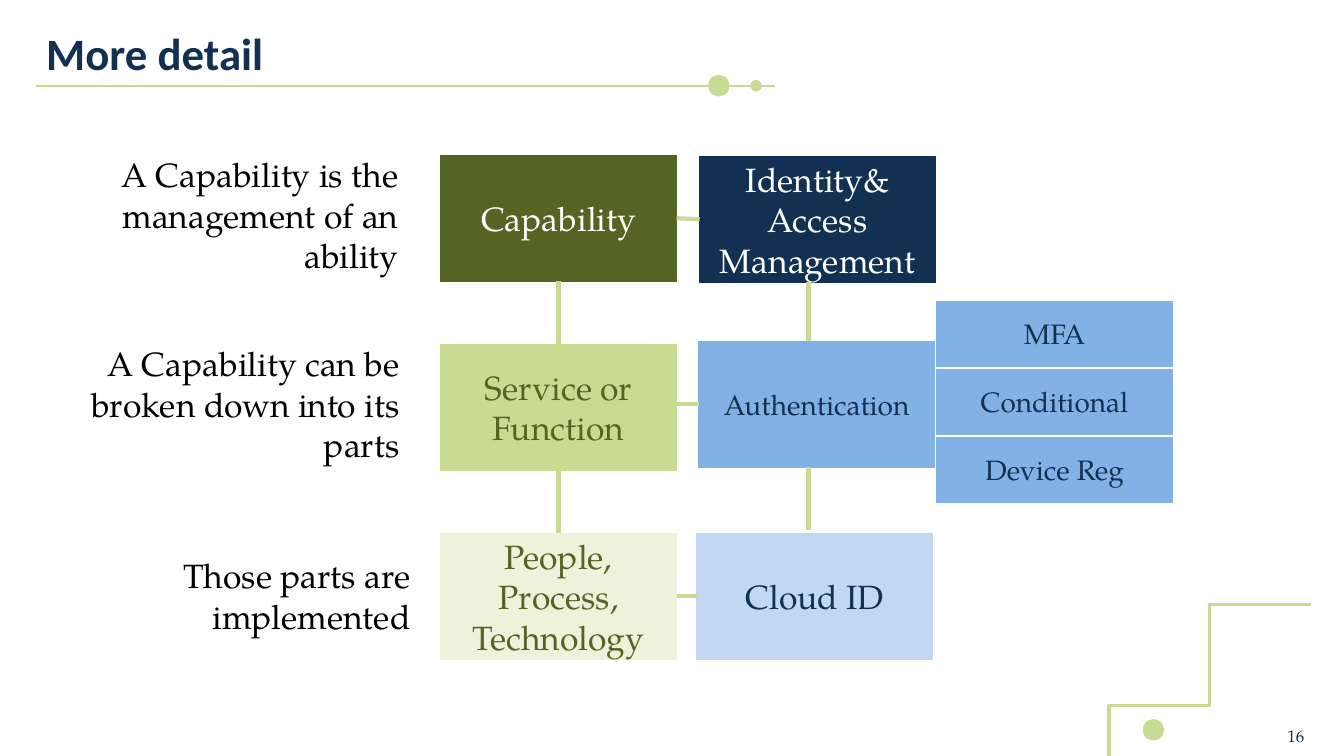
import math
from pptx import Presentation
from pptx import util as u
from pptx.dml.color import RGBColor
from pptx.enum import shapes, text
from pptx.oxml.ns import qn
from lxml import etree

# Content: one entry per row of the diagram
GREEN, OLIVE, NAVY, SKY = "C9DA92", "546422", "113052", "82B1E5"
WHITE, BLACK = "FFFFFF", "000000"
SERIF, SANS = "TeX Gyre Pagella", "Calibri"
TITLE, PAGE = "More detail", "16"

# Text, left, width, drop below the row top
explanations = [
    ("A Capability is the management of an ability", 0.61, 3.44, -0.06),
    ("A Capability can be broken down into its parts", 0.51, 3.55, -0.06),
    ("Those parts are implemented", 0.62, 3.55, 0.17),
]
# Text, fill, font colour
concepts = [
    ("Capability", OLIVE, WHITE),
    ("Service or Function", GREEN, OLIVE),
    ("People, Process, Technology", "EDF3DB", OLIVE),
]
# Text, fill, font colour, size, left, drop below the row top
examples = [
    ("Identity& Access Management", NAVY, WHITE, 24, 6.94, 0.01),
    ("Authentication", SKY, NAVY, 20, 6.93, -0.03),
    ("Cloud ID", "C1D8F2", NAVY, 24, 6.91, 0),
]
features = ["MFA", "Conditional", "Device Reg"]

# Grid in inches
WIDTH, HEIGHT = 13.33, 7.5
BOX_W, BOX_H, ROW_TOP, ROW_STEP = 2.34, 1.25, 1.54, 1.875
CONCEPT_X, EXAMPLE_AXIS = 4.37, 8.02
FEATURE_X, FEATURE_TOP, FEATURE_H, FEATURE_STEP = 9.29, 2.99, 0.64, 0.675

deck = Presentation()
deck.slide_width, deck.slide_height = u.Inches(WIDTH), u.Inches(HEIGHT)
slide = deck.slides.add_slide(deck.slide_layouts[6])


def color(value):
    return RGBColor.from_string(value)


def inches(*lengths):
    return [u.Inches(length) for length in lengths]


def write(owner, words, size, ink, align, anchor, font=SERIF, bold=False):
    frame = owner.text_frame
    frame.word_wrap = True
    frame.vertical_anchor = anchor
    paragraph = frame.paragraphs[0]
    paragraph.alignment = align
    run = paragraph.add_run()
    run.text = words
    for key, value in {"name": font, "size": u.Pt(size), "bold": bold}.items():
        setattr(run.font, key, value)
    run.font.color.rgb = color(ink)


def label(words, place, size, ink, align=text.PP_ALIGN.LEFT,
          anchor=text.MSO_ANCHOR.TOP, **style):
    write(slide.shapes.add_textbox(*inches(*place)), words, size, ink, align, anchor, **style)


def solid(kind, place, fill):
    shape = slide.shapes.add_shape(kind, *inches(*place))
    shape.shadow.inherit = False
    shape.fill.solid()
    shape.fill.fore_color.rgb = color(fill)
    shape.line.color.rgb = color(fill)
    shape.line.width = u.Pt(1)
    return shape


def box(words, place, fill, ink, size=24):
    write(solid(shapes.MSO_SHAPE.RECTANGLE, place, fill), words, size, ink,
          text.PP_ALIGN.CENTER, text.MSO_ANCHOR.MIDDLE)


def dot(center_x, center_y, size):
    solid(shapes.MSO_SHAPE.OVAL, (center_x - size / 2, center_y - size / 2, size, size), GREEN)


def link(x1, y1, x2, y2, weight=3):
    line = slide.shapes.add_connector(shapes.MSO_CONNECTOR.STRAIGHT, *inches(x1, y1, x2, y2))
    line.line.color.rgb = color(GREEN)
    line.line.width = u.Pt(weight)
    etree.SubElement(line._element.spPr, qn("a:effectLst"))


# Corner arc, cut by the slide's edges
ARC_X, ARC_Y, RADIUS = 13.26, 8.4, 2.16
first = math.asin((ARC_Y - HEIGHT) / RADIUS)
last = math.acos((ARC_X - WIDTH) / RADIUS)
angles = [first + (last - first) * step / 60 for step in range(61)]
points = [(ARC_X - RADIUS * math.cos(a), ARC_Y - RADIUS * math.sin(a)) for a in angles]
builder = slide.shapes.build_freeform(*points[0], scale=u.Inches(1))
builder.add_line_segments(points[1:], close=False)
arc = builder.convert_to_shape()
arc.shadow.inherit = False
arc.fill.background()
arc.line.color.rgb = color(GREEN)
arc.line.width = u.Pt(2.25)
dot(11.44, 7.24, 0.2)

# Title with its rule, and page number
label(TITLE, (0.36, 0.21, 9.14, 0.64), 32, NAVY, font=SANS, bold=True)
link(0.36, 0.85, 7.69, 0.85, weight=1.5)
dot(7.13, 0.85, 0.2)
dot(7.5, 0.85, 0.1)
label(PAGE, (12.67, 7.1, 0.49, 0.4), 12, NAVY, anchor=text.MSO_ANCHOR.MIDDLE)

# Rows: explanation, concept, example
tops = [ROW_TOP + ROW_STEP * row for row in range(len(concepts))]
for top, explanation, concept, example in zip(tops, explanations, concepts, examples):
    words, left, width, drop = explanation
    label(words, (left, top + drop, width, 0.91 if top == tops[-1] else 1.31),
          24, BLACK, text.PP_ALIGN.RIGHT)
    words, fill, ink = concept
    box(words, (CONCEPT_X, top, BOX_W, BOX_H), fill, ink)
    words, fill, ink, size, left, drop = example
    box(words, (left, top + drop, BOX_W, BOX_H), fill, ink, size)
    middle = top + BOX_H / 2
    link(CONCEPT_X + BOX_W, middle + min(drop, 0), left, middle + drop)

# Links from each row to the next
for row, top in enumerate(tops[:-1]):
    concept_axis = CONCEPT_X + BOX_W / 2
    link(concept_axis, top + BOX_H, concept_axis, tops[row + 1])
    drop = examples[row][-1]
    link(EXAMPLE_AXIS, top + BOX_H + drop, EXAMPLE_AXIS, tops[row + 1] - 0.03)

# Features of authentication
for row, feature in enumerate(features):
    box(feature, (FEATURE_X, FEATURE_TOP + FEATURE_STEP * row, BOX_W, FEATURE_H), SKY, NAVY, 20)

deck.save("out.pptx")
